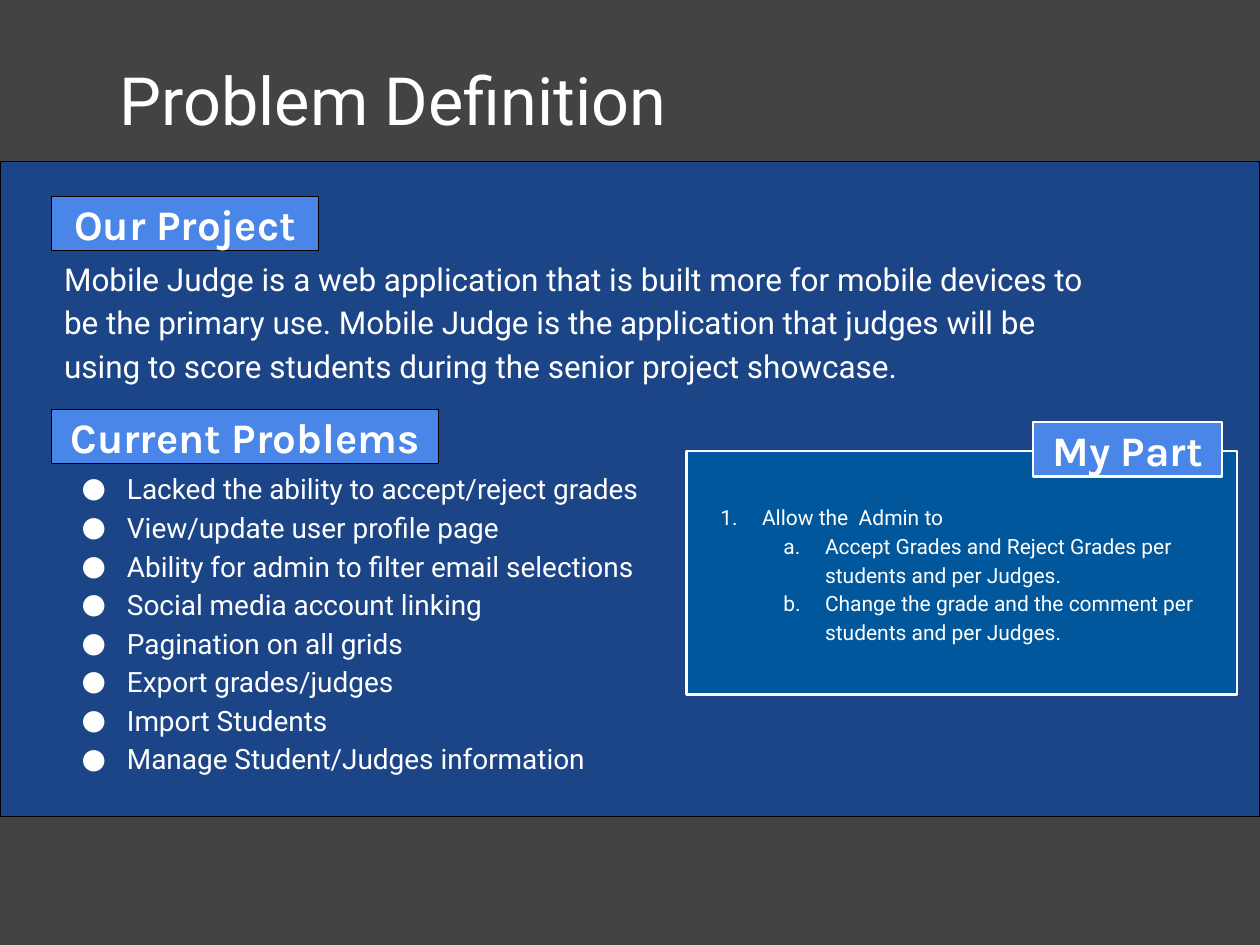
from lxml.etree import SubElement
from pptx import Presentation
from pptx.dml.color import RGBColor
from pptx.enum.shapes import MSO_SHAPE
from pptx.enum.text import MSO_ANCHOR, MSO_AUTO_SIZE, PP_ALIGN
from pptx.oxml.ns import qn
from pptx.util import Pt

BLACK = RGBColor(0x00, 0x00, 0x00)
WHITE = RGBColor(0xFF, 0xFF, 0xFF)
GREY = RGBColor(0x43, 0x43, 0x43)
NAVY = RGBColor(0x1C, 0x45, 0x87)
LABEL_BLUE = RGBColor(0x4A, 0x86, 0xE8)
CARD_BLUE = RGBColor(0x01, 0x57, 0x9B)


def add_panel(page, place, fill, line, width):
    panel = page.shapes.add_shape(MSO_SHAPE.RECTANGLE, *map(Pt, place))
    panel.shadow.inherit = False
    panel.fill.solid()
    panel.fill.fore_color.rgb = fill
    panel.line.color.rgb = line
    panel.line.width = Pt(width)
    return panel


def write(box, lines, size, inset=7.2, anchor=MSO_ANCHOR.MIDDLE, font="Roboto",
          bold=False, align=PP_ALIGN.LEFT, spacing=1.15):
    """Fill a box with lines of (text, level, left margin, hanging, bullet tag, bullet value)."""
    frame = box.text_frame
    frame_format = {"word_wrap": True, "auto_size": MSO_AUTO_SIZE.NONE,
                    "vertical_anchor": anchor, "margin_left": Pt(7.2),
                    "margin_right": Pt(7.2), "margin_top": Pt(inset),
                    "margin_bottom": Pt(inset)}
    for name, value in frame_format.items():
        setattr(frame, name, value)
    for index, (text, level, left, hanging, tag, value) in enumerate(lines):
        para = frame.paragraphs[0] if index == 0 else frame.add_paragraph()
        para_format = {"level": level, "alignment": align, "line_spacing": spacing,
                       "space_before": Pt(0), "space_after": Pt(0)}
        for name, setting in para_format.items():
            setattr(para, name, setting)
        if tag:
            properties = para._p.get_or_add_pPr()
            properties.set("marL", str(Pt(left)))
            properties.set("indent", str(-Pt(hanging)))
            color = SubElement(properties, qn("a:buClr"))
            SubElement(color, qn("a:srgbClr"), val=str(WHITE))
            SubElement(properties, qn("a:buFont"), typeface="Roboto")
            key = "char" if tag == "a:buChar" else "type"
            SubElement(properties, qn(tag), {key: value})
        span = para.add_run()
        span.text = text
        for name, setting in {"name": font, "size": Pt(size), "bold": bold}.items():
            setattr(span.font, name, setting)
        span.font.color.rgb = WHITE


deck = Presentation()
deck.slide_width, deck.slide_height = Pt(720), Pt(540)
page = deck.slides.add_slide(deck.slide_layouts[5])
page.background.fill.solid()
page.background.fill.fore_color.rgb = GREY

# Title above the blue band
band = add_panel(page, (0, 92.2, 720, 374.4), NAVY, BLACK, 0.75)
title = page.shapes.title
title.element.addprevious(band.element)
for side, length in {"left": 61.2, "top": 30.2, "width": 596.9, "height": 82.1}.items():
    setattr(title, side, Pt(length))
write(title, [("Problem Definition", 0, 0, 0, None, None)], 38,
      inset=3.6, anchor=MSO_ANCHOR.TOP, spacing=1.0)

# Project description
summary = page.shapes.add_textbox(Pt(29.5), Pt(131.8), Pt(596.9), Pt(101.5))
write(summary, [("Mobile Judge is a web application that is built more for mobile devices to "
                 "be the primary use. Mobile Judge is the application that judges will be "
                 "using to score students during the senior project showcase.",
                 0, 0, 0, None, None)], 18, inset=3.6)

# Current problems
problems = [
    "Lacked the ability to accept/reject grades",
    "View/update user profile page",
    "Ability for admin to filter email selections",
    "Social media account linking",
    "Pagination on all grids",
    "Export grades/judges",
    "Import Students",
    "Manage Student/Judges information",
]
problem_list = page.shapes.add_textbox(Pt(29.5), Pt(257.8), Pt(362.2), Pt(194.4))
write(problem_list, [(text, 0, 36, 25.9, "a:buChar", "●") for text in problems], 16)

# My part
card = add_panel(page, (392.4, 257.8, 314.6, 139), CARD_BLUE, WHITE, 1.5)
write(card, [
    ("Allow the  Admin to", 0, 36, 23.8, "a:buAutoNum", "arabicPeriod"),
    ("Accept Grades and Reject Grades per students and per Judges.",
     1, 72, 23.8, "a:buAutoNum", "alphaLcPeriod"),
    ("Change the grade and the comment per students and per Judges.",
     1, 72, 23.8, "a:buAutoNum", "alphaLcPeriod"),
], 12)

# Section labels
labels = [
    ("Our Project", 29.5, 112.3, 152.6, BLACK, 0.75),
    ("Current Problems", 29.5, 234, 221, BLACK, 0.75),
    ("My Part", 590.4, 241.2, 108, WHITE, 1.5),
]
for text, left, top, width, line, line_width in labels:
    label = add_panel(page, (left, top, width, 31), LABEL_BLUE, line, line_width)
    write(label, [(text, 0, 0, 0, None, None)], 24, font="Karla", bold=True,
          align=PP_ALIGN.CENTER, spacing=1.0)

deck.save("out.pptx")
